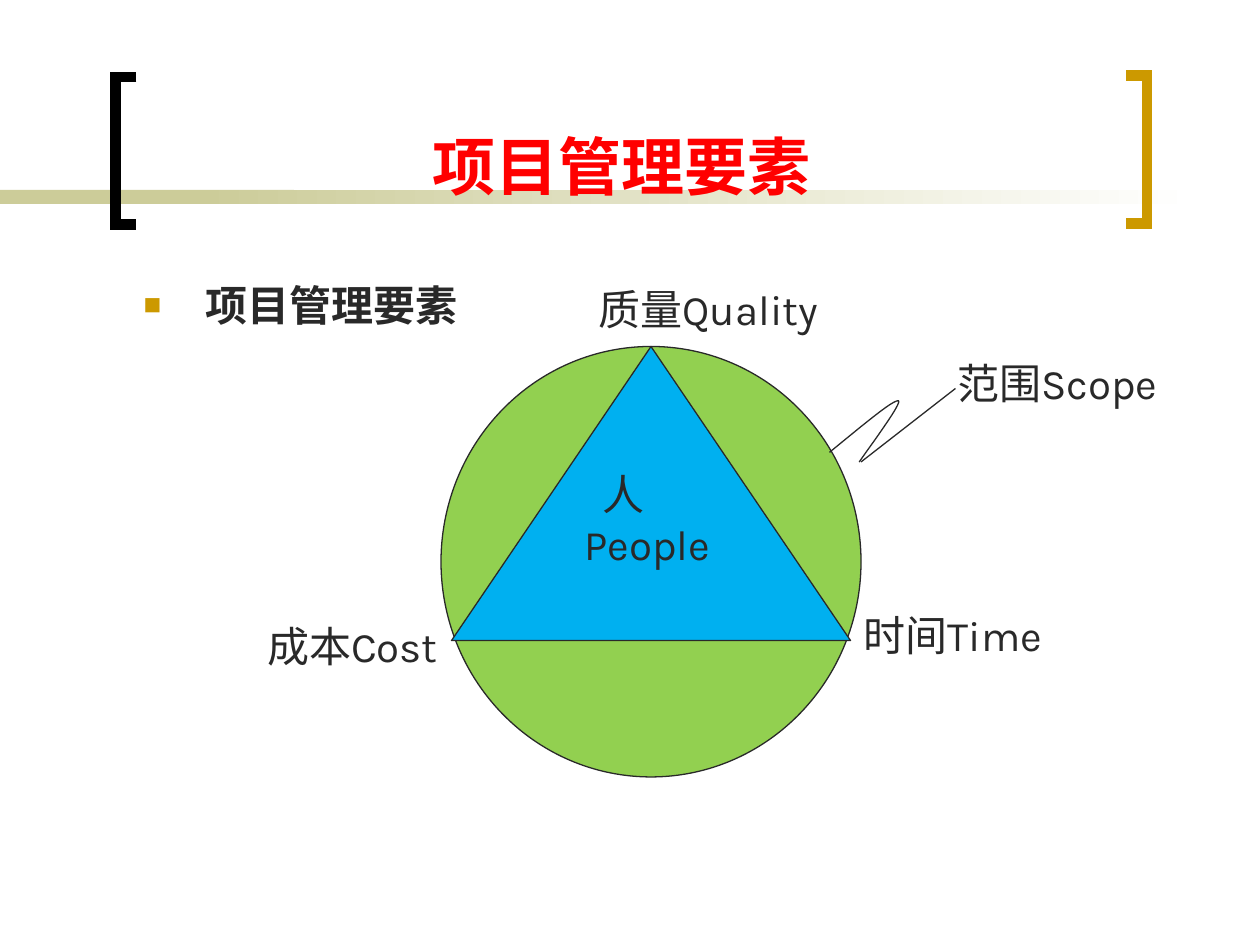
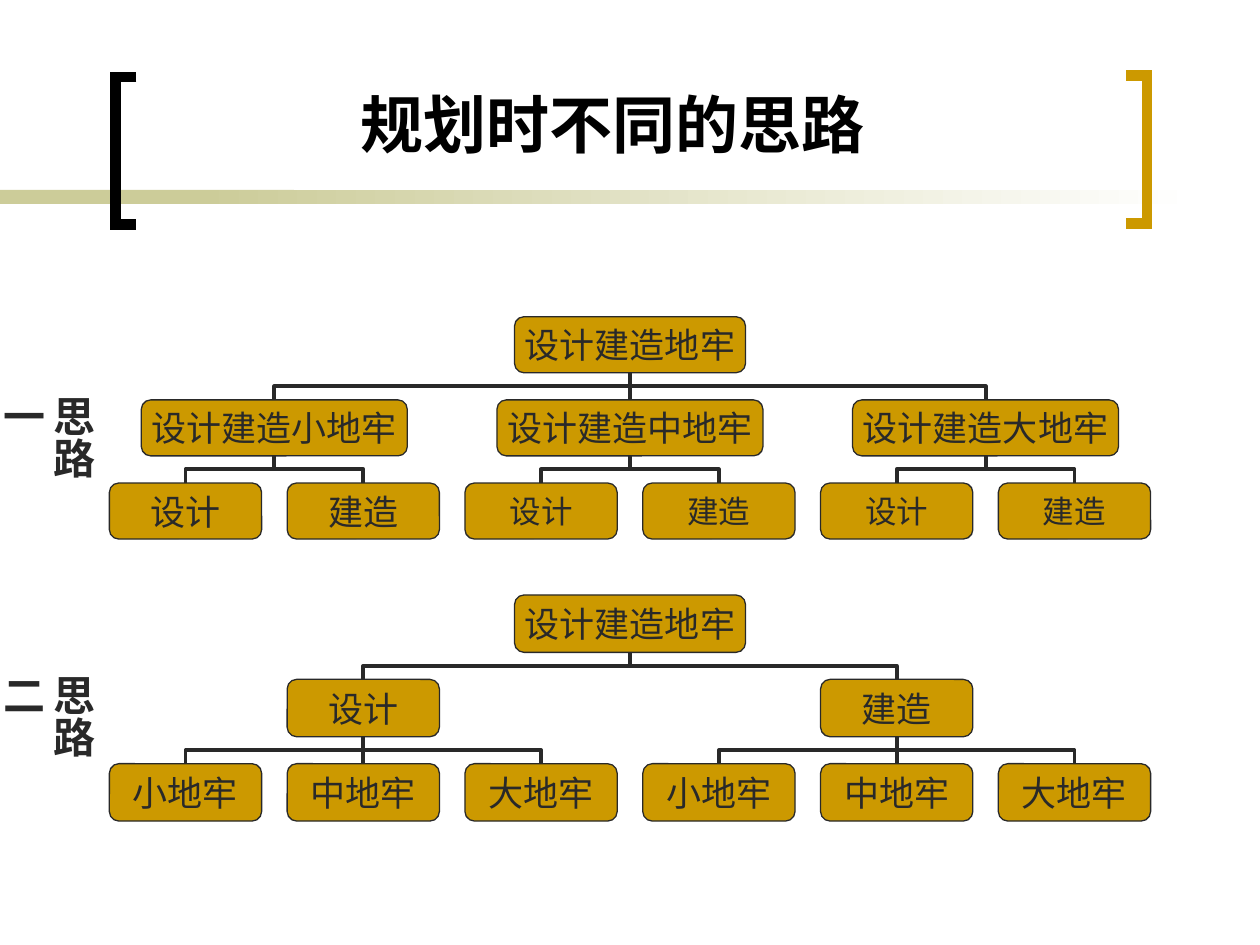
from itertools import count

from lxml.etree import SubElement
from pptx import Presentation
from pptx.dml.color import RGBColor
from pptx.enum.shapes import MSO_CONNECTOR, MSO_SHAPE
from pptx.enum.text import MSO_ANCHOR, MSO_AUTO_SIZE, PP_ALIGN
from pptx.oxml.ns import qn
from pptx.util import Pt

INK, BLACK, RED = "292929", "000000", "FF0000"
GOLD, SAND, WHITE = "CC9900", "CCCC99", "FFFFFF"
GREEN, BLUE = "92D050", "00B0F0"
HEADING_FONT, LABEL_FONT = "Arial", "Karla"


def color(value):
    return RGBColor.from_string(value)


def bezier(start, first, second, end, steps=12):
    """Points along a cubic curve, without its start."""
    points = []
    for step in range(1, steps + 1):
        t = step / steps
        weights = ((1 - t) ** 3, 3 * t * (1 - t) ** 2, 3 * t * t * (1 - t), t ** 3)
        points.append(tuple(
            sum(weight * value for weight, value in zip(weights, values))
            for values in zip(start, first, second, end)))
    return points


class Deck:
    """Holds the shared style and the slide being drawn."""

    def __init__(self):
        self.presentation = Presentation()
        self.presentation.slide_width = Pt(720)
        self.presentation.slide_height = Pt(540)
        self.slide = None

    def new_slide(self):
        layout = self.presentation.slide_layouts[6]
        self.slide = self.presentation.slides.add_slide(layout)
        # Band behind the title
        self.shape(MSO_SHAPE.RECTANGLE, (0, 108.6, 168, 8), SAND)
        band = self.shape(MSO_SHAPE.RECTANGLE, (114, 108.6, 570, 8), SAND)
        band.fill.gradient()
        band.fill.gradient_angle = 0
        for stop, position, value in zip(band.fill.gradient_stops, (0, 1), (SAND, WHITE)):
            stop.position = position
            stop.color.rgb = color(value)
        # Brackets around the title
        for inner, outer, top, value in ((78, 66, 44, BLACK), (643.5, 655.5, 43.2, GOLD)):
            bottom = top + 84.4
            corners = [(inner, top), (outer, top), (outer, bottom), (inner, bottom)]
            self.outline(corners, value, 6)

    def shape(self, kind, box, fill, line=None):
        shape = self.slide.shapes.add_shape(kind, *map(Pt, box))
        shape.shadow.inherit = False
        shape.fill.solid()
        shape.fill.fore_color.rgb = color(fill)
        if line:
            shape.line.color.rgb = color(line)
            shape.line.width = Pt(0.75)
        else:
            shape.line.fill.background()
        return shape

    def outline(self, points, value, width):
        points = [(Pt(x), Pt(y)) for x, y in points]
        builder = self.slide.shapes.build_freeform(*points[0], scale=1.0)
        builder.add_line_segments(points[1:], close=False)
        shape = builder.convert_to_shape()
        shape.shadow.inherit = False
        shape.fill.background()
        shape.line.color.rgb = color(value)
        shape.line.width = Pt(width)
        line = shape.element.spPr.find(qn("a:ln"))
        SubElement(line, qn("a:miter")).set("lim", "800000")

    def connector(self, kind, start, end, width):
        connector = self.slide.shapes.add_connector(kind, *map(Pt, start + end))
        connector.line.color.rgb = color(INK)
        connector.line.width = Pt(width)
        SubElement(connector.element.spPr, qn("a:effectLst"))
        return connector

    def branch(self, child, parent):
        """Joins a child's top to its parent's bottom, with the bend half way."""
        (x, y), (parent_x, parent_y) = child, parent
        if abs(x - parent_x) < 1:
            self.connector(MSO_CONNECTOR.STRAIGHT, child, parent, 2.25)
            return
        side = 1 if x > parent_x else -1
        middle_x, middle_y = (x + parent_x) / 2, (y + parent_y) / 2
        across, down = abs(x - parent_x) / 2, side * (y - parent_y) / 2
        connector = self.connector(
            MSO_CONNECTOR.ELBOW, (middle_x - down, middle_y + across),
            (middle_x + down, middle_y - across), 2.25)
        angle = 270 if side > 0 else 90
        connector.element.spPr.xfrm.set("rot", str(angle * 60000))

    def add_text(self, paragraph, text, size, font=LABEL_FONT, value=INK, bold=False):
        run = paragraph.add_run()
        run.text = text
        run.font.size = Pt(size)
        run.font.name = font
        run.font.bold = bold
        run.font.color.rgb = color(value)

    def text_frame(self, box, wrap=True):
        frame = self.slide.shapes.add_textbox(*map(Pt, box)).text_frame
        frame.word_wrap = wrap
        return frame

    def title(self, box, text, value, align):
        frame = self.text_frame(box)
        frame.vertical_anchor = MSO_ANCHOR.BOTTOM
        frame.paragraphs[0].alignment = align
        self.add_text(frame.paragraphs[0], text, 36, HEADING_FONT, value, True)

    def bullet(self, box, text):
        paragraph = self.text_frame(box).paragraphs[0]
        properties = paragraph._p.get_or_add_pPr()
        properties.set("marL", str(Pt(35.3)))
        properties.set("indent", str(-Pt(35.3)))
        bullet_color = SubElement(properties, qn("a:buClr"))
        SubElement(bullet_color, qn("a:srgbClr")).set("val", GOLD)
        SubElement(properties, qn("a:buSzPct")).set("val", "70000")
        SubElement(properties, qn("a:buFont")).set("typeface", HEADING_FONT)
        SubElement(properties, qn("a:buChar")).set("char", "■")
        self.add_text(paragraph, text, 24, HEADING_FONT, INK, True)

    def label(self, box, *lines):
        frame = self.text_frame(box, wrap=False)
        frame.auto_size = MSO_AUTO_SIZE.SHAPE_TO_FIT_TEXT
        for index, line in enumerate(lines):
            paragraph = frame.add_paragraph() if index else frame.paragraphs[0]
            self.add_text(paragraph, line, 24)
        return frame

    def vertical_label(self, box, text):
        frame = self.text_frame(box)
        frame.auto_size = MSO_AUTO_SIZE.SHAPE_TO_FIT_TEXT
        frame.margin_left = frame.margin_right = Pt(3.6)
        frame.margin_top = frame.margin_bottom = Pt(7.2)
        frame._txBody.bodyPr.set("vert", "eaVert")
        self.add_text(frame.paragraphs[0], text, 24, bold=True)

    def node(self, center, top, height, text, size):
        width = max(87, 20 * len(text) + 12)
        box = (center - width / 2, top, width, height)
        shape = self.shape(MSO_SHAPE.ROUNDED_RECTANGLE, box, GOLD, INK)
        frame = shape.text_frame
        frame.word_wrap = False
        frame.vertical_anchor = MSO_ANCHOR.MIDDLE
        frame.margin_left = frame.margin_right = Pt(5)
        frame.margin_top = frame.margin_bottom = Pt(2.5)
        frame.paragraphs[0].alignment = PP_ALIGN.CENTER
        self.add_text(frame.paragraphs[0], text, size)

    def tree(self, node, top, height, pitch, leaf_columns):
        """Draws a node over its children and returns its centre."""
        text, children, size = node
        centers = [self.tree(child, top + pitch, height, pitch, leaf_columns)
                   for child in children]
        if centers:
            center = (centers[0] + centers[-1]) / 2
        else:
            center = 106 + 101.6 * next(leaf_columns)
        for child_center in centers:
            self.branch((child_center, top + pitch), (center, top + height))
        self.node(center, top, height, text, size)
        return center


def plan(text, *children, size=20):
    return text, children, size


def draw_elements(deck):
    deck.new_slide()
    deck.title((73.4, 8, 564, 111.5), "项目管理要素", RED, PP_ALIGN.CENTER)
    deck.bullet((75, 156, 603, 324), "项目管理要素")

    # Triangle in a circle
    deck.shape(MSO_SHAPE.OVAL, (252, 198, 240, 246), GREEN, INK)
    deck.shape(MSO_SHAPE.ISOSCELES_TRIANGLE, (258, 198, 228, 168), BLUE, INK)

    # Names of the elements
    deck.label((335, 158.5, 148, 36), "质量Quality")
    deck.label((486.5, 345, 123, 36), "时间Time")
    deck.label((145.5, 351, 118, 36), "成本Cost")
    deck.label((540, 201, 135, 36), "范围Scope")
    people = deck.label((327, 264, 91.4, 65), "人", "People")
    people.paragraphs[0]._p.get_or_add_pPr().set("marL", str(Pt(10)))

    # Squiggle from the circle to its name
    start, peak, end = (474, 258.5), (513.4, 229), (491, 264)
    squiggle = [start]
    squiggle += bezier(start, (492.5, 243.4), (510.5, 228.2), peak)
    squiggle += bezier(peak, (516.2, 229.7), (494.6, 258.5), end)
    deck.outline(squiggle, INK, 0.75)
    deck.connector(MSO_CONNECTOR.STRAIGHT, (492, 264), (546, 222), 0.75)


def draw_approaches(deck):
    deck.new_slide()
    deck.title((198.7, 37.4, 320.4, 58.3), "规划时不同的思路", BLACK, PP_ALIGN.LEFT)

    # First approach: by dungeon, then by task
    dungeons = [
        plan(f"设计建造{name}", *(plan(task, size=size) for task in ("设计", "建造")))
        for name, size in (("小地牢", 20), ("中地牢", 18), ("大地牢", 18))]
    deck.tree(plan("设计建造地牢", *dungeons), 181, 32, 47.5, count())

    # Second approach: by task, then by dungeon
    tasks = [
        plan(task, *(plan(name) for name in ("小地牢", "中地牢", "大地牢")))
        for task in ("设计", "建造")]
    deck.tree(plan("设计建造地牢", *tasks), 340, 32.8, 48.2, count())

    for top, text in ((219, "思路一"), (378, "思路二")):
        deck.vertical_label((16.6, top, 43.2, 85), text)


def main():
    deck = Deck()
    draw_elements(deck)
    draw_approaches(deck)
    deck.presentation.save("out.pptx")


if __name__ == "__main__":
    main()
